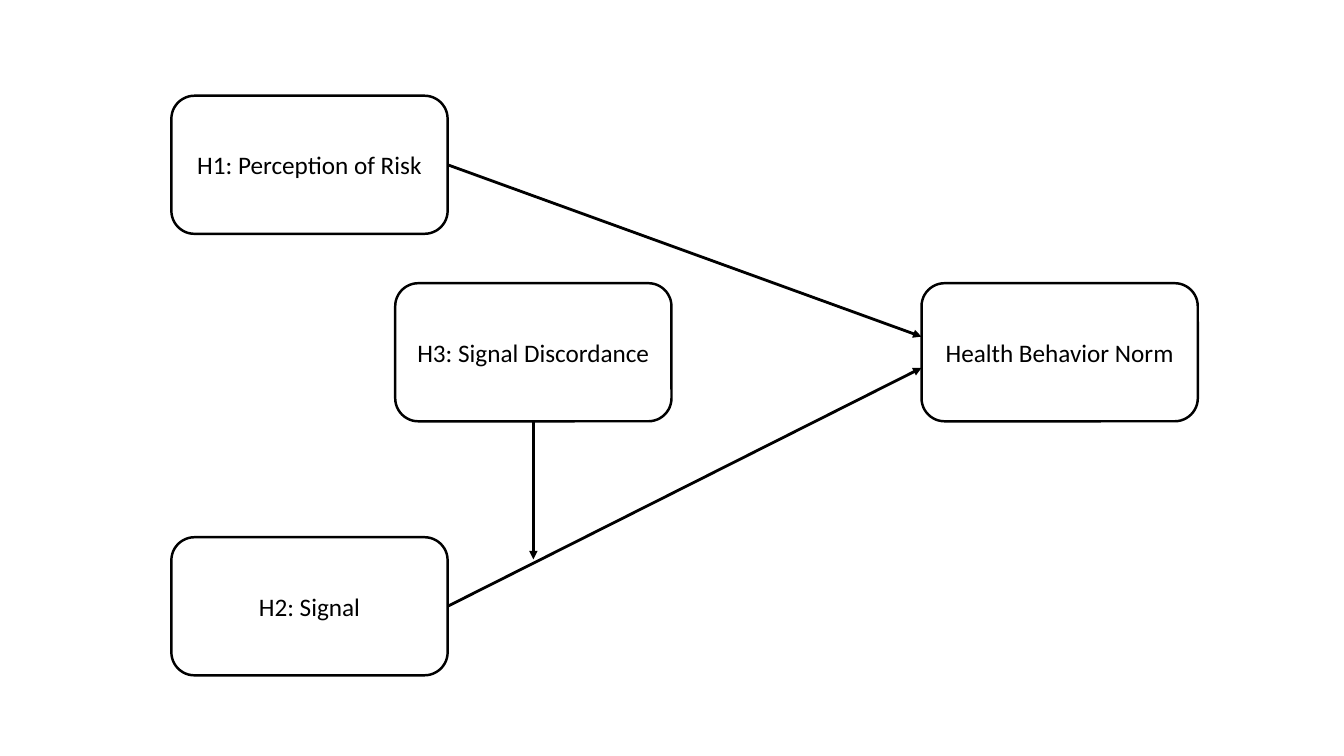
from lxml import etree
from pptx import Presentation
from pptx.dml.color import RGBColor
from pptx.enum.shapes import MSO_CONNECTOR, MSO_SHAPE
from pptx.enum.text import MSO_ANCHOR, PP_ALIGN
from pptx.oxml.ns import qn
from pptx.util import Inches, Pt

ROUNDED = MSO_SHAPE.ROUNDED_RECTANGLE
STRAIGHT = MSO_CONNECTOR.STRAIGHT
MIDDLE = MSO_ANCHOR.MIDDLE
CENTER = PP_ALIGN.CENTER

# Content: box label, left, top
BOX_W, BOX_H = 2.74, 1.37
BOXES = {
    "signal": ("H2: Signal", 1.7, 5.33),
    "discordance": ("H3: Signal Discordance", 3.92, 2.81),
    "norm": ("Health Behavior Norm", 9.14, 2.81),
    "risk": ("H1: Perception of Risk", 1.7, 0.95),
}
# Arrows: source box, side it leaves from, end point
NORM_LEFT = BOXES["norm"][1]
ARROWS = [
    ("signal", "right", (NORM_LEFT, 3.65)),
    ("discordance", "bottom", (5.29, 5.55)),
    ("risk", "right", (NORM_LEFT, 3.34)),
]
SIDES = {"right": (BOX_W, BOX_H / 2), "bottom": (BOX_W / 2, BOX_H)}
INK, PAPER = "000000", "FFFFFF"


def color(value):
    return RGBColor.from_string(value)


def set_line(line, width):
    line.color.rgb = color(INK)
    line.width = Pt(width)


def add_box(s, label, left, top):
    sp = s.shapes.add_shape(ROUNDED, Inches(left), Inches(top),
                            Inches(BOX_W), Inches(BOX_H))
    sp.shadow.inherit = False
    sp.fill.solid()
    sp.fill.fore_color.rgb = color(PAPER)
    set_line(sp.line, 1.75)
    tf = sp.text_frame
    tf.word_wrap = True
    tf.vertical_anchor = MIDDLE
    p = tf.paragraphs[0]
    p.text = label
    p.alignment = CENTER
    p.font.name = "Calibri"
    p.font.size = Pt(18)
    p.font.color.rgb = color(INK)


def add_arrow(s, source, side, end):
    _, left, top = BOXES[source]
    dx, dy = SIDES[side]
    points = (left + dx, top + dy, *end)
    arrow = s.shapes.add_connector(STRAIGHT, *map(Inches, points))
    set_line(arrow.line, 2)
    sp_pr = arrow.line._get_or_add_ln().getparent()
    etree.SubElement(arrow.line._get_or_add_ln(), qn("a:tailEnd"), type="triangle")
    etree.SubElement(sp_pr, qn("a:effectLst"))


prs = Presentation()
prs.slide_width, prs.slide_height = Inches(13.33), Inches(7.5)
s = prs.slides.add_slide(prs.slide_layouts[6])

# Boxes, then the arrows that join them
for box in BOXES.values():
    add_box(s, *box)
for arrow in ARROWS:
    add_arrow(s, *arrow)

prs.save("out.pptx")
